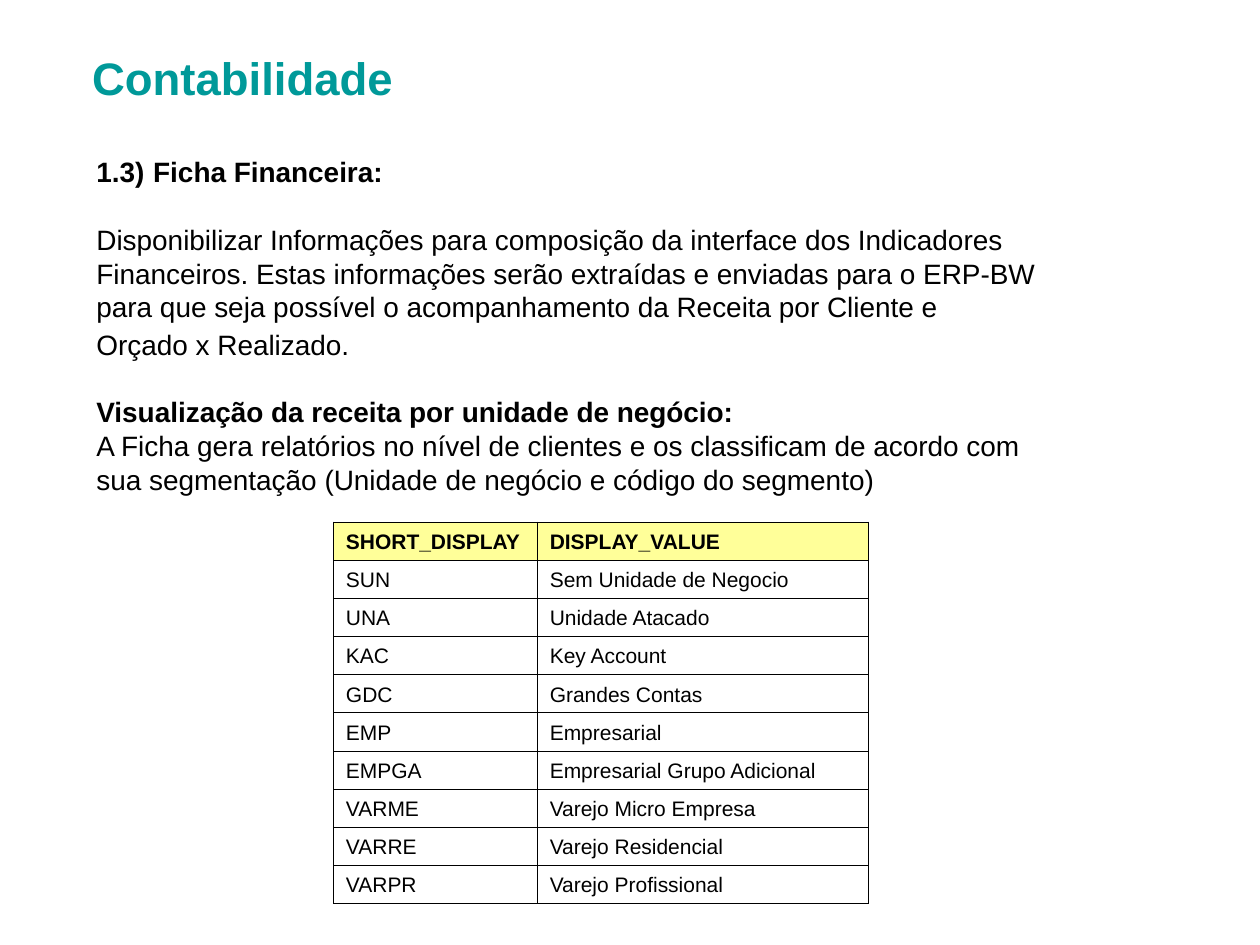
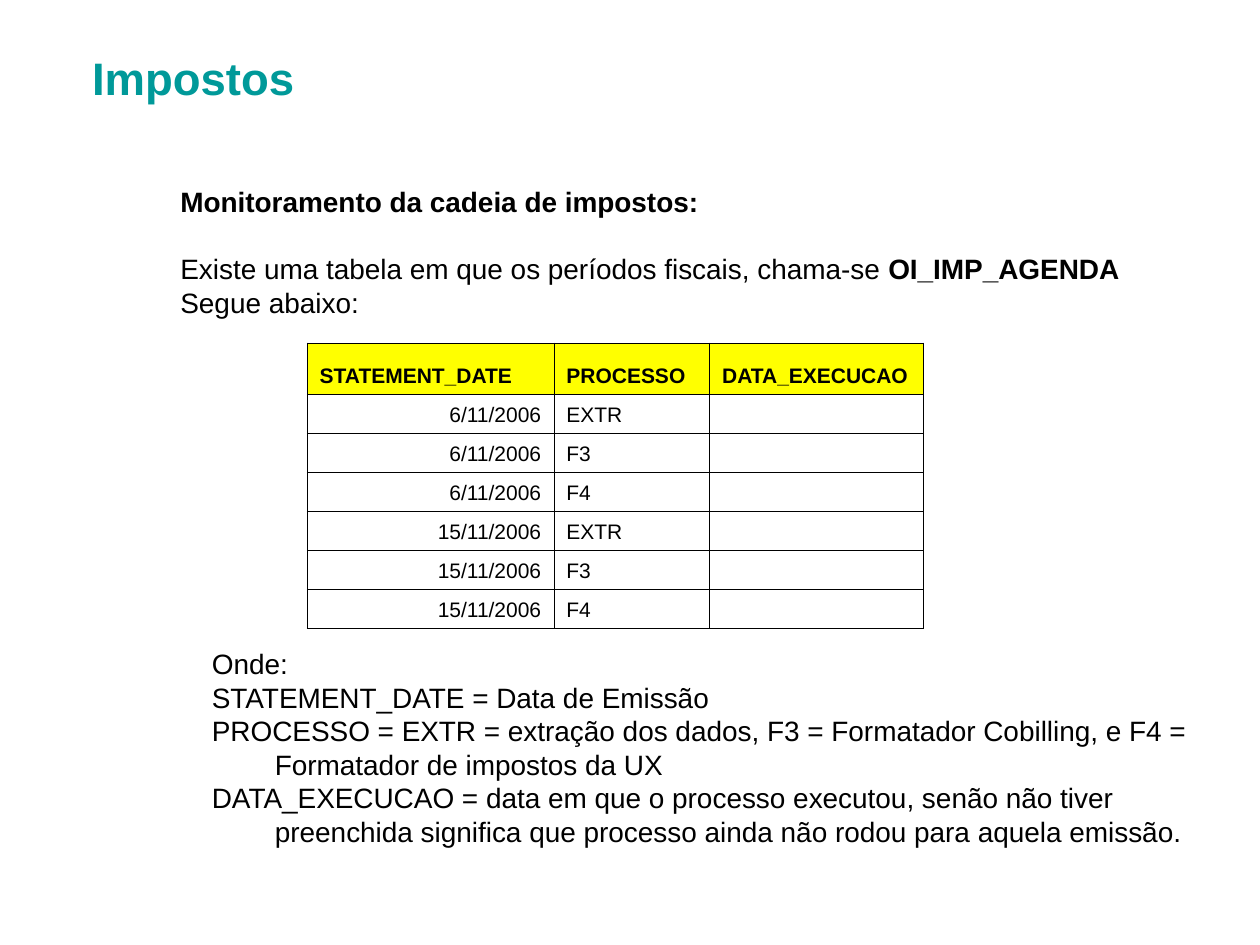
from lxml import etree
from pptx import Presentation
from pptx.dml.color import RGBColor
from pptx.enum import text
from pptx.oxml.ns import qn
from pptx.util import Pt

FONT = "Arial"
BLACK, TEAL = "000000", "009999"
PALE_YELLOW, YELLOW = "FFFF99", "FFFF00"
BODY_SIZE, CELL_SIZE, TITLE_SIZE = 16, 12, 26
LINE_FACTOR = 1.2
HANGING = 36
TITLE_BOX = (31, 26, 607, 36)
BORDER_WIDTH = 0.45

UNITS = [
    ("SHORT_DISPLAY", "DISPLAY_VALUE"),
    ("SUN", "Sem Unidade de Negocio"),
    ("UNA", "Unidade Atacado"),
    ("KAC", "Key Account"),
    ("GDC", "Grandes Contas"),
    ("EMP", "Empresarial"),
    ("EMPGA", "Empresarial Grupo Adicional"),
    ("VARME", "Varejo Micro Empresa"),
    ("VARRE", "Varejo Residencial"),
    ("VARPR", "Varejo Profissional"),
]
AGENDA = [("STATEMENT_DATE", "PROCESSO", "DATA_EXECUCAO")] + [
    (date, process, "")
    for date in ("6/11/2006", "15/11/2006")
    for process in ("EXTR", "F3", "F4")
]


def rgb(value):
    return RGBColor.from_string(value)


def style(r, size, bold=False, color=BLACK):
    r.font.name = FONT
    r.font.size = Pt(size)
    r.font.bold = bold
    r.font.color.rgb = rgb(color)


def add_text_frame(s, box):
    tf = s.shapes.add_textbox(*map(Pt, box)).text_frame
    tf.word_wrap = True
    return tf


def add_title(s, title):
    tf = add_text_frame(s, TITLE_BOX)
    tf.margin_left = Pt(21.6)
    tf.vertical_anchor = text.MSO_ANCHOR.MIDDLE
    tf.text = title
    style(tf.paragraphs[0].runs[0], TITLE_SIZE, True, TEAL)


def add_body(s, box, lines):
    """Each line is (runs, gap before, line size); each run is (text, bold, size)."""
    tf = add_text_frame(s, box)
    tf.auto_size = text.MSO_AUTO_SIZE.SHAPE_TO_FIT_TEXT
    for i, (runs, gap, size) in enumerate(lines):
        p = tf.add_paragraph() if i else tf.paragraphs[0]
        pPr = p._p.get_or_add_pPr()
        pPr.set("marL", str(Pt(HANGING)))
        pPr.set("indent", str(Pt(-HANGING)))
        p.line_spacing = Pt(size * LINE_FACTOR)
        if gap:
            p.space_before = Pt(gap)
        for words, bold, run_size in runs:
            r = p.add_run()
            r.text = words
            style(r, run_size, bold)


def line(words, bold=False, gap=0, size=BODY_SIZE):
    return [(words, bold, BODY_SIZE)], gap, size


def add_borders(cell):
    tcPr = cell._tc.get_or_add_tcPr()
    for side in ("lnL", "lnR", "lnT", "lnB"):
        ln = etree.SubElement(tcPr, qn(f"a:{side}"), w=str(Pt(BORDER_WIDTH)))
        fill = etree.SubElement(ln, qn("a:solidFill"))
        etree.SubElement(fill, qn("a:srgbClr"), val=BLACK)


def add_grid(s, left, top, widths, heights, rows, header_color, right_columns=()):
    table = s.shapes.add_table(
        len(rows), len(widths), Pt(left), Pt(top), Pt(sum(widths)), Pt(sum(heights))
    ).table
    table.first_row = table.horz_banding = False
    for column, width in zip(table.columns, widths):
        column.width = Pt(width)
    for i, values in enumerate(rows):
        table.rows[i].height = Pt(heights[i])
        for j, value in enumerate(values):
            cell = table.cell(i, j)
            cell.vertical_anchor = text.MSO_ANCHOR.BOTTOM
            add_borders(cell)
            if i == 0:
                cell.fill.solid()
                cell.fill.fore_color.rgb = rgb(header_color)
            else:
                cell.fill.background()
            p = cell.text_frame.paragraphs[0]
            if i and j in right_columns:
                p.alignment = text.PP_ALIGN.RIGHT
            if value:
                p.text = value
                style(p.runs[0], CELL_SIZE, i == 0)
            else:
                etree.SubElement(p._p, qn("a:endParaRPr"), sz=str(CELL_SIZE * 100))


def build_accounting(s):
    blank = BODY_SIZE * LINE_FACTOR
    heading = [("1.3)", True, BODY_SIZE), (" ", False, 18),
               ("Ficha Financeira:", True, BODY_SIZE)]
    add_title(s, "Contabilidade")
    add_body(s, (48, 83, 552, 204.5), [
        (heading, 0, 18),
        line("Disponibilizar Informações para composição da interface dos Indicadores",
             gap=blank),
        line("Financeiros. Estas informações serão extraídas e enviadas para o ERP-BW"),
        line("para que seja possível o acompanhamento da Receita por Cliente e"),
        line("Orçado x Realizado.", size=18),
        line("Visualização da receita por unidade de negócio:", True, blank),
        line("A Ficha gera relatórios no nível de clientes e os classificam de acordo com"),
        line("sua segmentação (Unidade de negócio e código do segmento)"),
    ])
    add_grid(s, 190.5, 298.3, (116.5, 189), [21.8] * len(UNITS), UNITS, PALE_YELLOW)


def build_taxes(s):
    agenda = [("Existe uma tabela em que os períodos fiscais, chama-se ", False, BODY_SIZE),
              ("OI_IMP_AGENDA", True, BODY_SIZE)]
    add_title(s, "Impostos")
    add_grid(s, 175.5, 196, (141, 89, 122.3), [29.2] + [22.3] * (len(AGENDA) - 1),
             AGENDA, YELLOW, right_columns=(0,))
    add_body(s, (96, 102, 582, 84), [
        line("Monitoramento da cadeia de impostos:", True),
        (agenda, BODY_SIZE * LINE_FACTOR, BODY_SIZE),
        line("Segue abaixo:"),
    ])
    add_body(s, (114, 366, 582, 122.4), [
        line("Onde:"),
        line("STATEMENT_DATE = Data de Emissão"),
        line("PROCESSO = EXTR = extração dos dados, F3 = Formatador Cobilling, "
             "e F4 = Formatador de impostos da UX"),
        line("DATA_EXECUCAO = data em que o processo executou, senão não tiver "
             "preenchida significa que processo ainda não rodou para aquela emissão."),
    ])


def main():
    prs = Presentation()
    prs.slide_width, prs.slide_height = Pt(720), Pt(540)
    for build in (build_accounting, build_taxes):
        build(prs.slides.add_slide(prs.slide_layouts[6]))
    prs.save("out.pptx")


if __name__ == "__main__":
    main()
